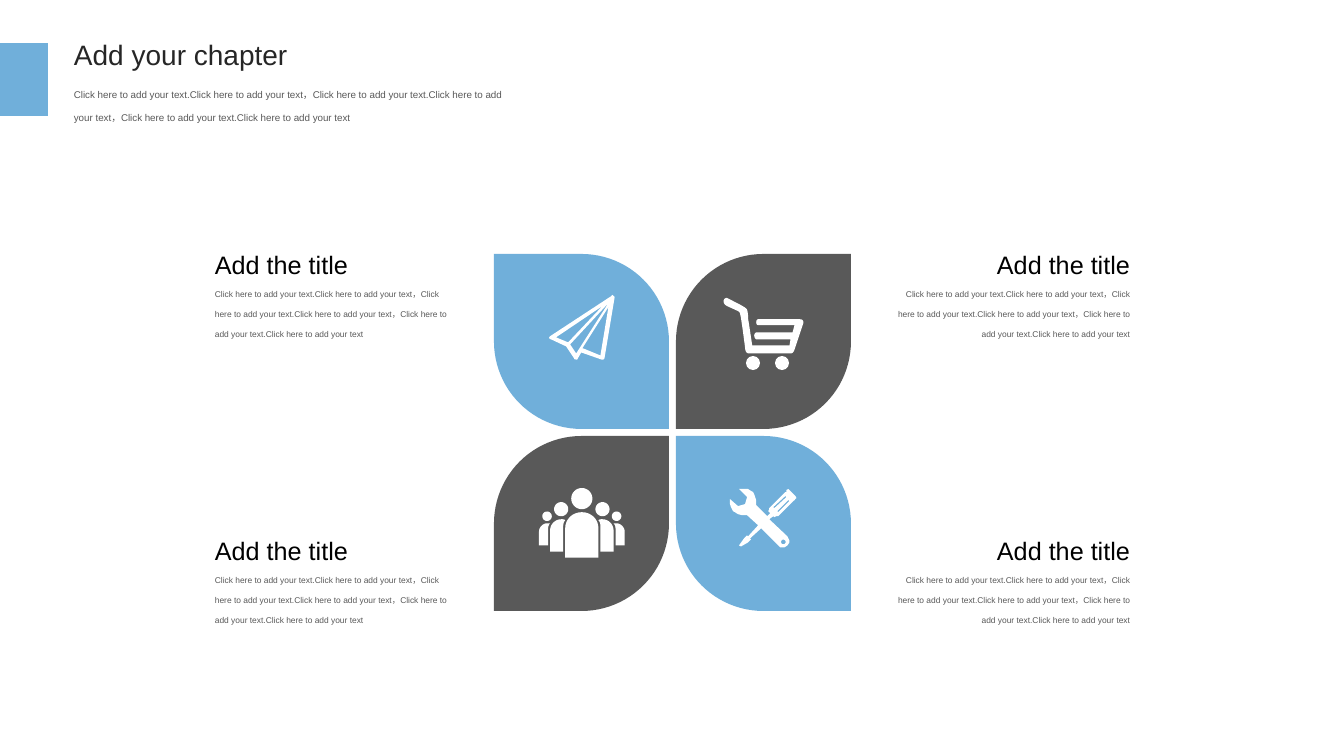
from itertools import product

from pptx import Presentation
from pptx.dml.color import RGBColor
from pptx.enum.shapes import MSO_SHAPE
from pptx.enum.text import PP_ALIGN
from pptx.util import Pt

PX = 914400 / 100.8
BLUE, GRAY, WHITE = "70AFDA", "595959", "FFFFFF"
INK, BLACK = "262626", "000000"
PHRASE = "Click here to add your text"
BODY = "，".join([f"{PHRASE}.{PHRASE}"] * 3)


def px(length):
    return round(length * PX)


def color(hex_string):
    return RGBColor.from_string(hex_string)


def paint(shape, fill):
    shape.shadow.inherit = False
    shape.fill.solid()
    shape.fill.fore_color.rgb = color(fill)
    shape.line.fill.background()


def add_block(page, kind, box, fill):
    shape = page.shapes.add_shape(kind, *map(px, box))
    paint(shape, fill)
    return shape


def add_text(page, box, lines, align=PP_ALIGN.LEFT):
    """Each line is (text, size, colour, line spacing)."""
    frame = page.shapes.add_textbox(*map(px, box)).text_frame
    frame.word_wrap = True
    for index, (text, size, ink, spacing) in enumerate(lines):
        para = frame.add_paragraph() if index else frame.paragraphs[0]
        para.text = text
        para.alignment = align
        para.line_spacing = spacing
        para.font.name = "Arial"
        para.font.size = Pt(size)
        para.font.color.rgb = color(ink)


def flatten(contour, steps=8):
    """Turn points (x, y) and Bézier curves (x1, y1, x2, y2, x, y) into points."""
    points = []
    for part in contour:
        if len(part) == 2:
            points.append(part)
            continue
        x0, y0 = points[-1]
        x1, y1, x2, y2, x3, y3 = part
        for step in range(1, steps + 1):
            t = step / steps
            a, b, c, d = (1 - t) ** 3, 3 * t * (1 - t) ** 2, 3 * t * t * (1 - t), t ** 3
            points.append((a * x0 + b * x1 + c * x2 + d * x3,
                           a * y0 + b * y1 + c * y2 + d * y3))
    return points


def circle(x, y, r):
    k = 0.55 * r
    return [(x, y - r), (x + k, y - r, x + r, y - k, x + r, y),
            (x + r, y + k, x + k, y + r, x, y + r),
            (x - k, y + r, x - r, y + k, x - r, y),
            (x - r, y - k, x - k, y - r, x, y - r)]


def mirror(contour, width):
    return [tuple(width - v if i % 2 == 0 else v for i, v in enumerate(part))
            for part in contour]


def add_icon(page, left, top, contours):
    """Draw contours, measured in hundredths of an inch, from the given corner."""
    unit = 1.008
    outlines = [[(x * unit * 100, y * unit * 100) for x, y in flatten(contour)]
                for contour in contours]
    builder = page.shapes.build_freeform(*outlines[0][0], scale=PX / 100)
    for index, points in enumerate(outlines):
        if index:
            builder.move_to(*points[0])
        builder.add_line_segments(points[1:], close=True)
    paint(builder.convert_to_shape(px(left), px(top)), WHITE)


def add_plane(page, left, top):
    outline = [(64, 1), (64, 1, 63, 0, 63, 0), (62, 0, 62, 1, 62, 1), (1, 41),
               (1, 41, 0, 42, 0, 43), (1, 43, 1, 44, 2, 44), (17, 51), (25, 63),
               (25, 64, 26, 64, 27, 64), (28, 64), (32, 57), (52, 64), (54, 64),
               (55, 63), (65, 3), (65, 2, 65, 1, 64, 1)]
    folds = [[(51, 60), (34, 53), (33, 53), (59, 12)],
             [(21, 49), (59, 8), (27, 58)],
             [(7, 42), (53, 11), (19, 47)]]
    add_icon(page, left + 55, top + 41, [outline, *folds])


def add_cart(page, left, top):
    basket = [(78, 22), (37, 22), (37, 22, 35, 22, 35, 25), (35, 28, 37, 28, 37, 28),
              (73, 28), (71, 35), (35, 35), (35, 35, 33, 36, 33, 38),
              (33, 41, 35, 42, 35, 42), (69, 42), (68, 48), (31, 48), (28, 28),
              (27, 22), (27, 22, 27, 16, 26, 13), (26, 11, 20, 8, 6, 1),
              (3, 0, 0, 6, 6, 9), (17, 14), (17, 14, 19, 15, 19, 17),
              (20, 19, 24, 51, 24, 51), (24, 51, 24, 56, 28, 56), (69, 56),
              (72, 56, 73, 52, 73, 52), (81, 28), (81, 28, 84, 22, 78, 22)]
    add_icon(page, left + 45, top + 43, [basket])
    for wheel in (70, 99):
        add_block(page, MSO_SHAPE.OVAL, (left + wheel, top + 102, 14, 14), WHITE)


def add_people(page, left, top):
    leader = [(26, 69), (59, 69), (59, 40), (59, 31, 52, 24, 42.5, 24),
              (33, 24, 26, 31, 26, 40)]
    inner = [(24, 40), (24, 63), (11, 63), (11, 42), (11, 36, 16, 31, 22, 31),
             (24, 31, 25, 31, 26, 32), (24, 34, 24, 37, 24, 40)]
    outer = [(8, 35), (9, 35, 10, 35, 11, 35), (9, 37, 9, 40, 9, 42), (9, 57),
             (0, 57), (0, 43), (0, 39, 4, 35, 8, 35)]
    side = [inner, outer, circle(22, 21, 7), circle(8, 28, 4.7)]
    add_icon(page, left + 45, top + 52,
             [leader, circle(42.5, 10.5, 10.5), *side,
              *(mirror(contour, 85) for contour in side)])


def add_tools(page, left, top):
    outline = [(65, 7), (59, 1), (58, 0), (56, 1), (56, 3), (55, 3), (39, 19), (39, 20),
               (38, 22), (40, 24), (37, 27), (26, 16), (26, 11), (25, 8), (24, 5),
               (23, 3), (21, 2), (18, 0), (15, 0), (9, 0), (17, 8), (15, 15), (8, 17),
               (0, 10), (0, 15), (1, 18), (3, 22), (5, 23), (8, 25), (12, 26), (17, 26),
               (28, 36), (18, 47), (17, 46), (14, 49), (9, 56), (11, 57), (18, 53),
               (21, 50), (20, 49), (31, 39), (48, 56), (50, 58), (54, 58), (57, 56),
               (59, 53), (59, 51), (58, 49), (57, 47), (39, 30), (43, 27), (44, 28),
               (46, 27), (48, 27), (63, 12), (64, 11), (65, 10), (66, 9)]
    slots = [[(44, 19), (43, 18), (55, 7), (56, 8)],
             [(48, 23), (47, 22), (58, 11), (59, 12)]]
    add_icon(page, left + 54, top + 53, [outline, circle(53, 52.5, 2.3), *slots])


def add_header(page, left, top):
    add_block(page, MSO_SHAPE.RECTANGLE, (left, top, 48, 73), BLUE)
    add_text(page, (left + 64, top - 10, 246, 44), [("Add your chapter", 20, INK, 1)])
    add_text(page, (left + 64, top + 29, 452, 54), [(BODY, 7, GRAY, 2)])


def add_petals(page, left, top, size=175, gap=7):
    icons = (add_plane, add_cart, add_people, add_tools)
    for (row, column), icon in zip(product(range(2), repeat=2), icons):
        x, y = left + column * (size + gap), top + row * (size + gap)
        on_diagonal = row == column
        petal = add_block(page, MSO_SHAPE.ROUND_2_DIAG_RECTANGLE, (x, y, size, size),
                          BLUE if on_diagonal else GRAY)
        petal.adjustments[0] = 0 if on_diagonal else 0.5
        petal.adjustments[1] = 0.5 if on_diagonal else 0
        icon(page, x, y)


def add_captions(page, left, top):
    sides = ((left, PP_ALIGN.LEFT), (left + 681, PP_ALIGN.RIGHT))
    for (x, align), y in product(sides, (top, top + 286)):
        add_text(page, (x, y, 254, 102),
                 [("Add the title", 18, BLACK, 1), (BODY, 6, GRAY, 2)], align)


def main():
    deck = Presentation()
    deck.slide_width, deck.slide_height = px(1344), px(756)
    page = deck.slides.add_slide(deck.slide_layouts[6])
    add_header(page, 0, 43)
    add_petals(page, 494, 254)
    add_captions(page, 205, 244)
    deck.save("out.pptx")


if __name__ == "__main__":
    main()
